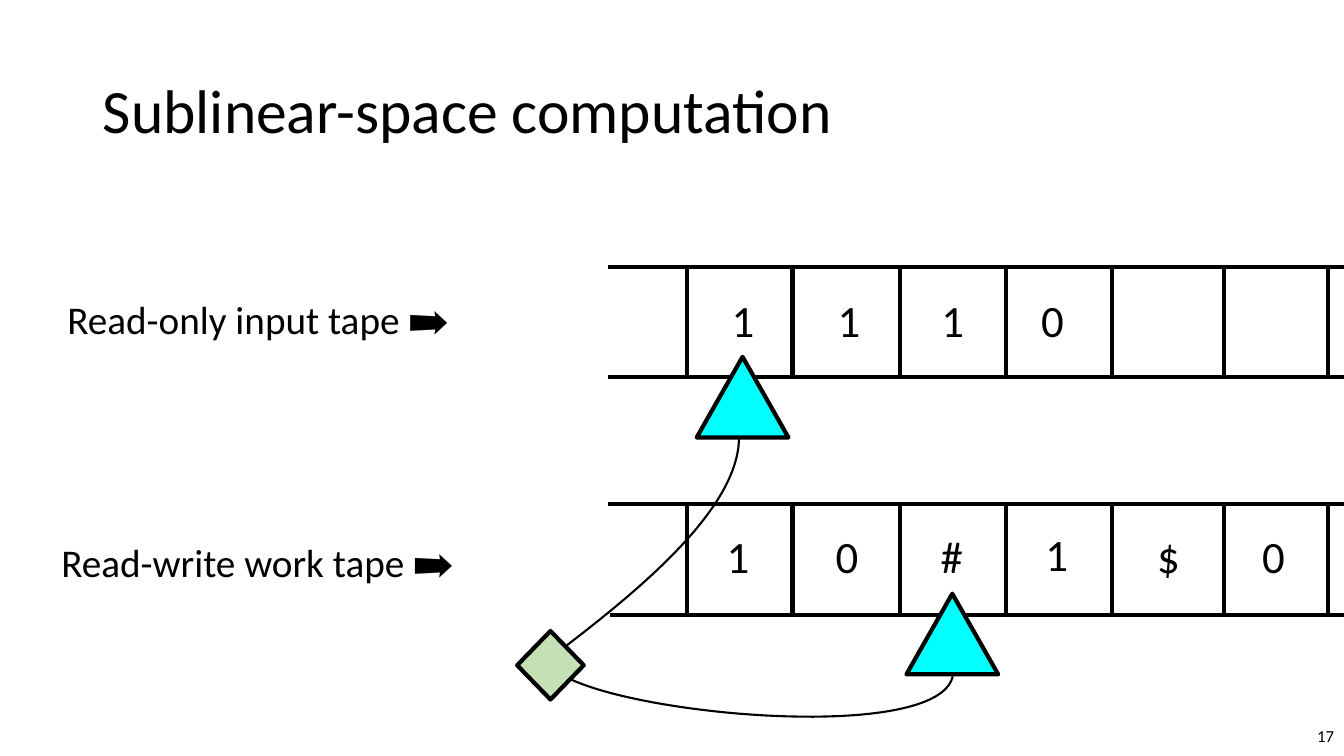
from lxml.etree import SubElement
from pptx import Presentation
from pptx.dml.color import RGBColor
from pptx.enum.shapes import MSO_CONNECTOR, MSO_SHAPE
from pptx.enum.text import MSO_ANCHOR, MSO_AUTO_SIZE, PP_ALIGN
from pptx.oxml.ns import qn
from pptx.util import Inches, Pt

BLACK = RGBColor(0x00, 0x00, 0x00)
CYAN = RGBColor(0x00, 0xFF, 0xFF)
GREEN = RGBColor(0xC5, 0xE0, 0xB4)
FONT = "Calibri"
SLIDE_WIDTH, SLIDE_HEIGHT = 13.33, 7.5

TITLE = "Sublinear-space computation"
PAGE_NUMBER = "17"
DIVIDERS = [6.81, 7.86, 8.93, 9.98, 11.03, 12.14, 13.17]
RAISED_DIVIDERS = {6.81, 11.03, 12.14}
TAPES = [
    {
        "label": ("Read-only input tape ➡", 0.57, 2.88, 4.46),
        "rails": [(6.03, 2.65), (6.03, 3.74)],
        "divider_top": 2.65,
        "symbols": [("1", 7.08, 2.85), ("1", 8.13, 2.85), ("1", 9.16, 2.85), ("0", 10.15, 2.86)],
        "head": (6.91, 3.54),
        "wire": [(7.33, 4.33), (7.34, 5.05), (6.3, 5.88), (5.6, 6.42)],
    },
    {
        "label": ("Read-write work tape ➡", 0.51, 5.29, 4.3),
        "rails": [(6.03, 5), (6.05, 6.1)],
        "divider_top": 5.02,
        "symbols": [("1", 7.03, 5.2), ("0", 8.11, 5.2), ("#", 9.15, 5.2),
                    ("1", 10.19, 5.18), ("$", 11.3, 5.2), ("0", 12.34, 5.2)],
        "head": (8.99, 5.89),
        "wire": [(9.45, 6.71), (9.31, 7.34), (6.51, 7.13), (5.66, 6.74)],
    },
]
DIVIDER_HEIGHT = 1.1
CURVE_STEPS = 40


def write(frame, text, size, align=PP_ALIGN.LEFT, anchor=MSO_ANCHOR.TOP):
    frame.word_wrap = True
    frame.auto_size = MSO_AUTO_SIZE.NONE
    frame.vertical_anchor = anchor
    para = frame.paragraphs[0]
    para.alignment = align
    span = para.add_run()
    span.text = text
    span.font.name = FONT
    span.font.size = Pt(size)
    span.font.color.rgb = BLACK
    return para


def add_text(page, text, left, top, width, height, size, **layout):
    box = page.shapes.add_textbox(Inches(left), Inches(top), Inches(width), Inches(height))
    write(box.text_frame, text, size, **layout)


def add_line(page, start, end):
    points = [Inches(value) for value in (*start, *end)]
    line = page.shapes.add_connector(MSO_CONNECTOR.STRAIGHT, *points)
    line.line.color.rgb = BLACK
    line.line.width = Pt(3)
    SubElement(line._element.spPr, qn("a:effectLst"))


def add_filled(page, kind, left, top, width, height, color):
    shape = page.shapes.add_shape(kind, Inches(left), Inches(top), Inches(width), Inches(height))
    shape.shadow.inherit = False
    shape.fill.solid()
    shape.fill.fore_color.rgb = color
    shape.line.color.rgb = BLACK
    shape.line.width = Pt(3)


def bezier_point(controls, t):
    weights = ((1 - t) ** 3, 3 * t * (1 - t) ** 2, 3 * t ** 2 * (1 - t), t ** 3)
    return tuple(
        Inches(sum(weight * control[axis] for weight, control in zip(weights, controls)))
        for axis in (0, 1)
    )


def add_wire(page, controls):
    points = [bezier_point(controls, step / CURVE_STEPS) for step in range(CURVE_STEPS + 1)]
    builder = page.shapes.build_freeform(*points[0])
    builder.add_line_segments(points[1:], close=False)
    wire = builder.convert_to_shape()
    wire.shadow.inherit = False
    wire.fill.background()
    wire.line.color.rgb = BLACK
    wire.line.width = Pt(1.5)


def add_tape(page, tape):
    label, left, top, width = tape["label"]
    add_text(page, label, left, top, width, 0.57, 28)
    for rail_left, rail_top in tape["rails"]:
        add_line(page, (rail_left, rail_top), (SLIDE_WIDTH, rail_top))
    for x in DIVIDERS:
        top = tape["divider_top"] - (0.02 if x in RAISED_DIVIDERS else 0)
        add_line(page, (x, top), (x, top + DIVIDER_HEIGHT))
    for symbol, left, top in tape["symbols"]:
        add_text(page, symbol, left, top, 0.58, 0.64, 32, align=PP_ALIGN.CENTER)
    add_filled(page, MSO_SHAPE.ISOSCELES_TRIANGLE, *tape["head"], 0.91, 0.8, CYAN)


def main():
    """Build the slide on a machine with a read-only input tape and a work tape."""
    deck = Presentation()
    deck.slide_width, deck.slide_height = Inches(SLIDE_WIDTH), Inches(SLIDE_HEIGHT)
    page = deck.slides.add_slide(deck.slide_layouts[5])

    title = page.shapes.title
    title.left, title.top = Inches(0.92), Inches(0.4)
    title.width, title.height = Inches(11.5), Inches(1.45)
    para = write(title.text_frame, TITLE, 44, anchor=MSO_ANCHOR.MIDDLE)
    para.line_spacing = 0.9

    add_text(page, PAGE_NUMBER, 10.33, 7.1, 3, 0.4, 12,
             align=PP_ALIGN.RIGHT, anchor=MSO_ANCHOR.MIDDLE)
    for tape in TAPES:
        add_tape(page, tape)
    add_filled(page, MSO_SHAPE.DIAMOND, 5.13, 6.26, 0.66, 0.68, GREEN)
    for tape in TAPES:
        add_wire(page, tape["wire"])
    deck.save("out.pptx")


if __name__ == "__main__":
    main()
